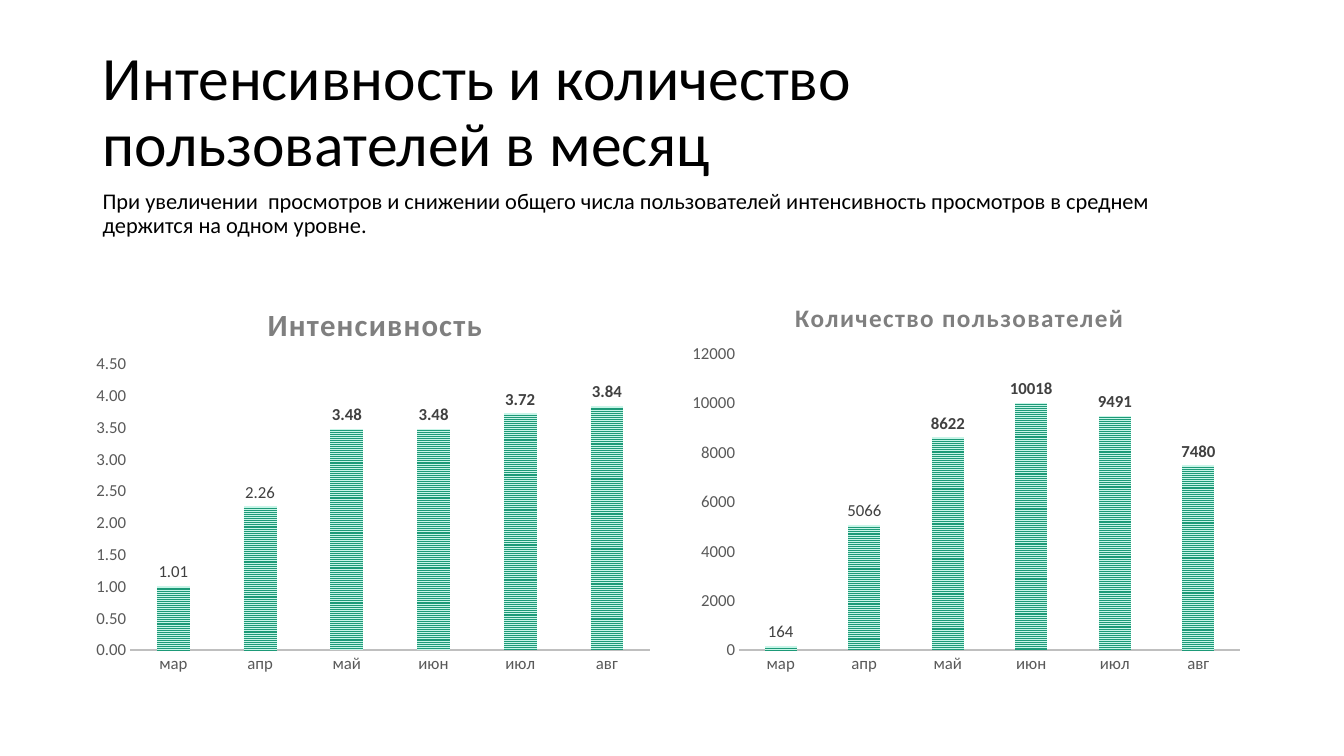
from pptx import Presentation
from pptx.chart.data import CategoryChartData
from pptx.dml.color import RGBColor
from pptx.enum.chart import XL_CHART_TYPE, XL_LABEL_POSITION, XL_TICK_MARK
from pptx.enum.dml import MSO_PATTERN
from pptx.enum.text import MSO_ANCHOR
from pptx.oxml import parse_xml
from pptx.oxml.ns import nsdecls
from pptx.util import Inches, Pt

COLUMN = XL_CHART_TYPE.COLUMN_CLUSTERED
OUTSIDE = XL_LABEL_POSITION.OUTSIDE_END
NO_TICK = XL_TICK_MARK.NONE
STRIPES = MSO_PATTERN.NARROW_HORIZONTAL
TOP, MIDDLE = MSO_ANCHOR.TOP, MSO_ANCHOR.MIDDLE

BLACK = RGBColor(0x00, 0x00, 0x00)
LABEL = RGBColor(0x40, 0x40, 0x40)
AXIS = RGBColor(0x59, 0x59, 0x59)
HEAD = RGBColor(0x7F, 0x7F, 0x7F)
LINE = RGBColor(0xBF, 0xBF, 0xBF)
GREEN = RGBColor(0x1D, 0x9A, 0x78)
MINT = RGBColor(0xC8, 0xF5, 0xE8)

FONT = "Calibri"
MONTHS = ["мар", "апр", "май", "июн", "июл", "авг"]
FIRST_BOLD = 2

# Boxes are left, top, width, height in inches; head is left, top;
# plot is the inner area between the axes.
CHARTS = [
    {"title": "Интенсивность", "size": 22, "values": [1.01, 2.26, 3.48, 3.48, 3.72, 3.84],
     "format": "#,##0.00", "top": 4.5, "step": 0.5, "box": (0.92, 2.74, 5.64, 4.03),
     "head": (2.6, 2.95), "plot": (1.29, 3.61, 5.16, 2.84)},
    {"title": "Количество пользователей", "size": 18,
     "values": [164, 5066, 8622, 10018, 9491, 7480],
     "format": "General", "top": 12000, "step": 2000, "box": (6.75, 2.74, 5.67, 4.03),
     "head": (7.84, 2.93), "plot": (7.33, 3.51, 4.97, 2.94)},
]


def style(font, size, color, bold=False):
    for key, value in {"name": FONT, "size": Pt(size), "bold": bold}.items():
        setattr(font, key, value)
    font.color.rgb = color


def add_text(slide, box, text, size, anchor, before=0):
    frame = slide.shapes.add_textbox(*map(Inches, box)).text_frame
    frame.word_wrap = True
    frame.vertical_anchor = anchor
    para = frame.paragraphs[0]
    para.line_spacing = 0.9
    para.space_before = Pt(before)
    run = para.add_run()
    run.text = text
    style(run.font, size, BLACK)


def place(part, index, box, area):
    """Fix a chart part at an area of the slide, as shares of the chart box."""
    for old in part.xpath("c:layout"):
        part.remove(old)
    left, top, width, height = box
    shares = {"x": (area[0] - left) / width, "y": (area[1] - top) / height}
    modes = '<c:xMode val="edge"/><c:yMode val="edge"/>'
    if len(area) == 4:
        shares.update(w=area[2] / width, h=area[3] / height)
        modes = '<c:layoutTarget val="inner"/>' + modes
    sizes = "".join(f'<c:{key} val="{share:.4f}"/>' for key, share in shares.items())
    part.insert(index, parse_xml(
        f'<c:layout {nsdecls("c")}><c:manualLayout>{modes}{sizes}'
        '</c:manualLayout></c:layout>'))


def set_title(chart, item):
    chart.has_title = True
    run = chart.chart_title.text_frame.paragraphs[0].add_run()
    run.text = item["title"]
    style(run.font, item["size"], HEAD, True)
    run.font._element.set("spc", "100")


def set_axes(chart, item):
    for axis in (chart.category_axis, chart.value_axis):
        axis.major_tick_mark = axis.minor_tick_mark = NO_TICK
        axis.has_major_gridlines = False
        style(axis.tick_labels.font, 12, AXIS)
    line = chart.category_axis.format.line
    line.width = Pt(1.5)
    line.color.rgb = LINE
    scale = chart.value_axis
    scale.format.line.fill.background()
    for key, value in {"minimum_scale": 0, "maximum_scale": item["top"],
                       "major_unit": item["step"]}.items():
        setattr(scale, key, value)


def set_bars(chart, item):
    plot = chart.plots[0]
    for key, value in {"gap_width": 164, "overlap": -22, "vary_by_categories": False}.items():
        setattr(plot, key, value)
    bars = plot.series[0]
    fill = bars.format.fill
    fill.patterned()
    fill.pattern = STRIPES
    fill.fore_color.rgb = GREEN
    fill.back_color.rgb = MINT
    labels = bars.data_labels
    for key, value in {"show_value": True, "position": OUTSIDE, "number_format": item["format"],
                       "number_format_is_linked": False}.items():
        setattr(labels, key, value)
    style(labels.font, 12, LABEL)
    for index in range(FIRST_BOLD, len(MONTHS)):
        label = bars.points[index].data_label
        style(label.font, 12, LABEL, True)
        label.position = OUTSIDE


def add_chart(slide, item):
    data = CategoryChartData(number_format=item["format"])
    data.categories = MONTHS
    data.add_series("Series 1", item["values"])
    box = item["box"]
    chart = slide.shapes.add_chart(COLUMN, *map(Inches, box), data).chart
    chart.has_legend = False
    style(chart.font, 10, BLACK)
    set_title(chart, item)
    set_axes(chart, item)
    set_bars(chart, item)
    root = chart._chartSpace
    place(root.xpath("c:chart/c:title")[0], 1, box, item["head"])
    place(root.xpath("c:chart/c:plotArea")[0], 0, box, item["plot"])


def main():
    deck = Presentation()
    deck.slide_width, deck.slide_height = Inches(13.33), Inches(7.5)
    slide = deck.slides.add_slide(deck.slide_layouts[6])
    add_text(slide, (0.92, 0.4, 11.5, 1.45),
             "Интенсивность и количество пользователей в месяц", 44, MIDDLE)
    add_text(slide, (0.92, 1.84, 11.5, 0.9),
             "При увеличении  просмотров и снижении общего числа пользователей "
             "интенсивность просмотров в среднем держится на одном уровне.", 16, TOP, 10)
    for item in CHARTS:
        add_chart(slide, item)
    deck.save("out.pptx")


if __name__ == "__main__":
    main()
